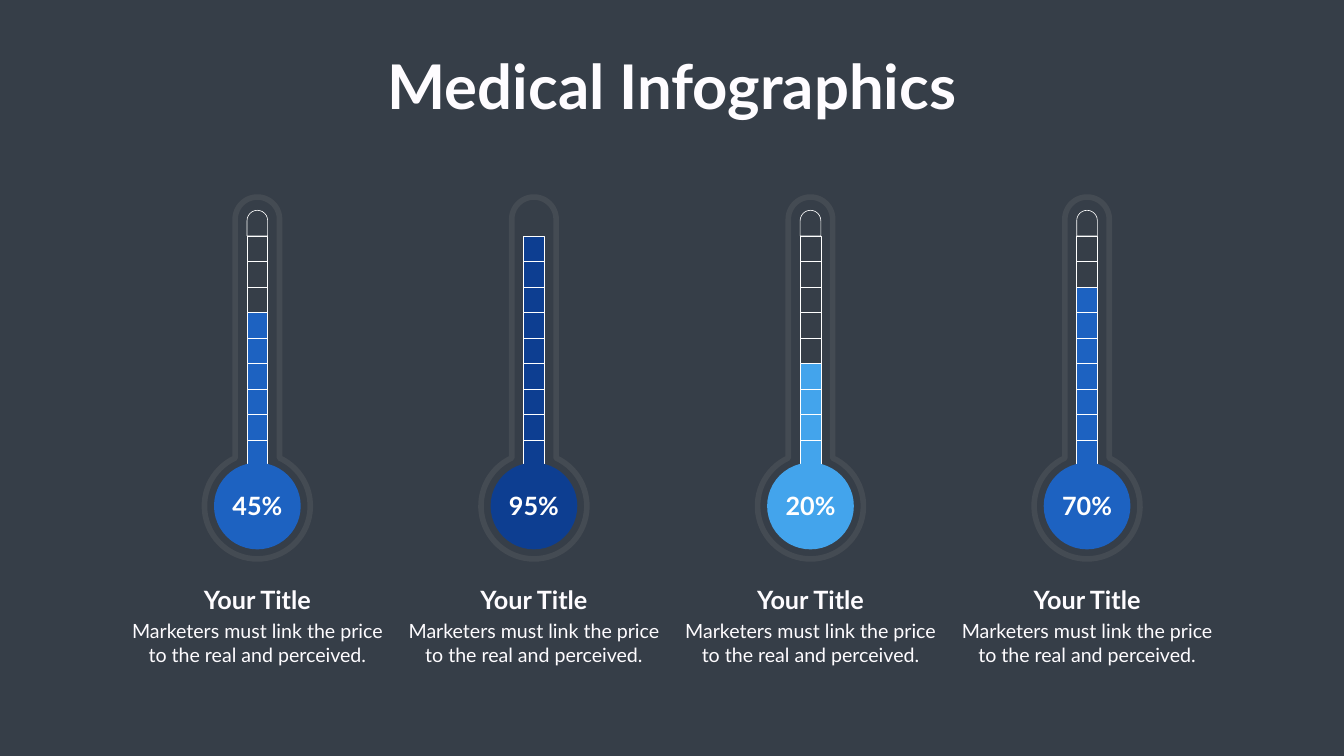
import math
from dataclasses import dataclass

from lxml import etree
from pptx import Presentation
from pptx.dml.color import RGBColor
from pptx.enum import shapes, text
from pptx.oxml import ns
from pptx.util import Inches, Pt


@dataclass(frozen=True)
class Theme:
    font: str = "Lato"
    background: str = "363E48"
    ink: str = "FEFCFF"
    white: str = "FFFFFF"
    casing: str = "808080"
    mid_blue: str = "1D62C1"
    navy: str = "0D3E91"
    sky: str = "43A4EC"
    headline: int = 88
    label: int = 36
    body: int = 28


THEME = Theme()
SLIDE_W, SLIDE_H = 26.66, 15
COLUMN_W, COLUMN_PITCH, FIRST_COLUMN = 5.27, 5.486, 2.47
CELL_COUNT = 9
BODY = "Marketers must link the price to the real and perceived."

# percentage, filled cells, colour, whether the cap is outlined
READINGS = [
    ("45%", 6, THEME.mid_blue, True),
    ("95%", 9, THEME.navy, False),
    ("20%", 4, THEME.sky, True),
    ("70%", 7, THEME.mid_blue, True),
]


def paint(shape, fill=None, line=None, width=0.75):
    shape.shadow.inherit = False
    if fill:
        shape.fill.solid()
        shape.fill.fore_color.rgb = RGBColor.from_string(fill)
    else:
        shape.fill.background()
    if line:
        shape.line.color.rgb = RGBColor.from_string(line)
        shape.line.width = Pt(width)
    else:
        shape.line.fill.background()


def add_preset(slide, preset, box, **paint_values):
    shape = slide.shapes.add_shape(preset, *map(Inches, box))
    paint(shape, **paint_values)
    return shape


def add_words(slide, box, words, size, color=THEME.ink, bold=False, wrap=True):
    frame = slide.shapes.add_textbox(*map(Inches, box)).text_frame
    frame.word_wrap = wrap
    frame.auto_size = text.MSO_AUTO_SIZE.SHAPE_TO_FIT_TEXT
    paragraph = frame.paragraphs[0]
    paragraph.alignment = text.PP_ALIGN.CENTER
    run = paragraph.add_run()
    run.text = words
    for name, value in {"name": THEME.font, "size": Pt(size), "bold": bold}.items():
        setattr(run.font, name, value)
    run.font.color.rgb = RGBColor.from_string(color)


def arc(center_x, center_y, radius, start, end, steps=60):
    """Points along a circle, with angles in radians measured clockwise."""
    for step in range(steps + 1):
        angle = start + (end - start) * step / steps
        yield (Inches(center_x + radius * math.cos(angle)),
               Inches(center_y + radius * math.sin(angle)))


def add_casing(slide, box):
    """Outline of a narrow tube that opens into a round bulb."""
    left, top, width, height = box
    middle, bulb_r, tube_r = left + width / 2, width / 2, 0.44
    neck = math.acos(tube_r / bulb_r)
    points = [
        *arc(middle, top + tube_r, tube_r, -math.pi, 0),
        *arc(middle, top + height - bulb_r, bulb_r, -neck, math.pi + neck),
    ]
    builder = slide.shapes.build_freeform(*points[0])
    builder.add_line_segments(points[1:], close=True)
    casing = builder.convert_to_shape()
    paint(casing, line=THEME.casing, width=8)
    color = casing.line.fill._xPr.find(".//" + ns.qn("a:srgbClr"))
    etree.SubElement(color, ns.qn("a:alpha"), val="20000")


def add_thermometer(slide, box, percentage, filled, color, cap_outlined):
    left, top, width, height = box
    middle = left + width / 2
    add_casing(slide, box)

    # Scale cells, from the bulb upwards, under a rounded cap
    cell_w, cell_h = 0.41, 0.507
    cell_left, scale_top = middle - cell_w / 2, top + 0.77
    for index in range(CELL_COUNT):
        cell_top = scale_top + (CELL_COUNT - 1 - index) * cell_h
        add_preset(slide, shapes.MSO_SHAPE.RECTANGLE,
                   (cell_left, cell_top, cell_w, cell_h),
                   fill=color if index < filled else THEME.background,
                   line=THEME.white)
    cap = add_preset(slide, shapes.MSO_SHAPE.ROUND_2_SAME_RECTANGLE,
                     (cell_left, scale_top - cell_h, cell_w, cell_h),
                     fill=THEME.background,
                     line=THEME.white if cap_outlined else None, width=0.88)
    cap.adjustments[0] = 0.5

    # Bulb with its reading
    bulb = 1.72
    bulb_middle = top + height - width / 2
    add_preset(slide, shapes.MSO_SHAPE.OVAL,
               (middle - bulb / 2, bulb_middle - bulb / 2, bulb, bulb), fill=color)
    add_words(slide, (left, bulb_middle - 0.37, width, 0.71), percentage,
              THEME.label, THEME.white, bold=True)


def add_caption(slide, box):
    left, top, width, height = box
    title_h = 0.7
    add_words(slide, (left, top, width, title_h), "Your Title", THEME.label, bold=True)
    add_words(slide, (left, top + title_h, width, height - title_h), BODY, THEME.body)


def main():
    deck = Presentation()
    deck.slide_width, deck.slide_height = Inches(SLIDE_W), Inches(SLIDE_H)
    slide = deck.slides.add_slide(deck.slide_layouts[6])
    slide.background.fill.solid()
    slide.background.fill.fore_color.rgb = RGBColor.from_string(THEME.background)

    # Headline
    headline_w = 11.75
    add_words(slide, ((SLIDE_W - headline_w) / 2, 0.91, headline_w, 1.58),
              "Medical Infographics", THEME.headline, bold=True, wrap=False)

    # One thermometer and caption per column
    gauge_w = 2.1
    for index, reading in enumerate(READINGS):
        left = FIRST_COLUMN + index * COLUMN_PITCH
        gauge_left = left + (COLUMN_W - gauge_w) / 2
        add_thermometer(slide, (gauge_left, 3.91, gauge_w, 7.18), *reading)
        add_caption(slide, (left, 11.54, COLUMN_W, 1.74))

    deck.save("out.pptx")


if __name__ == "__main__":
    main()
